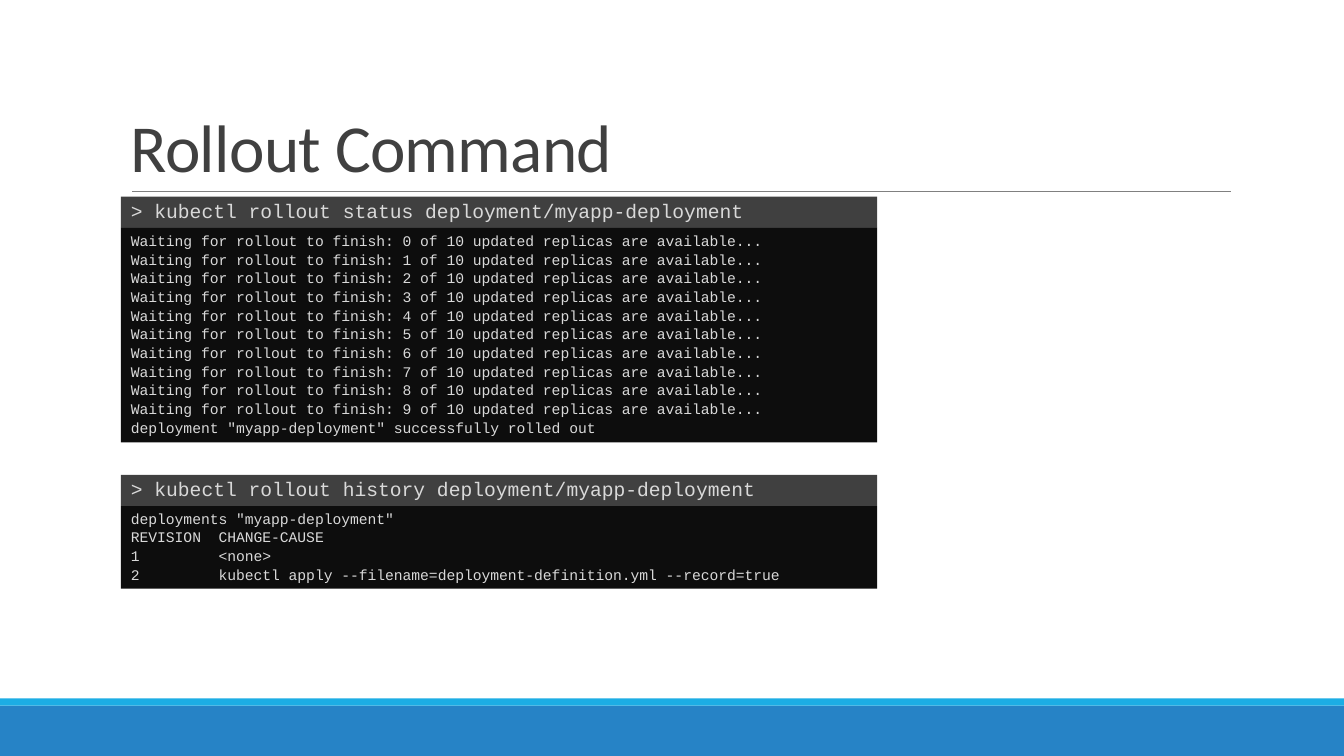
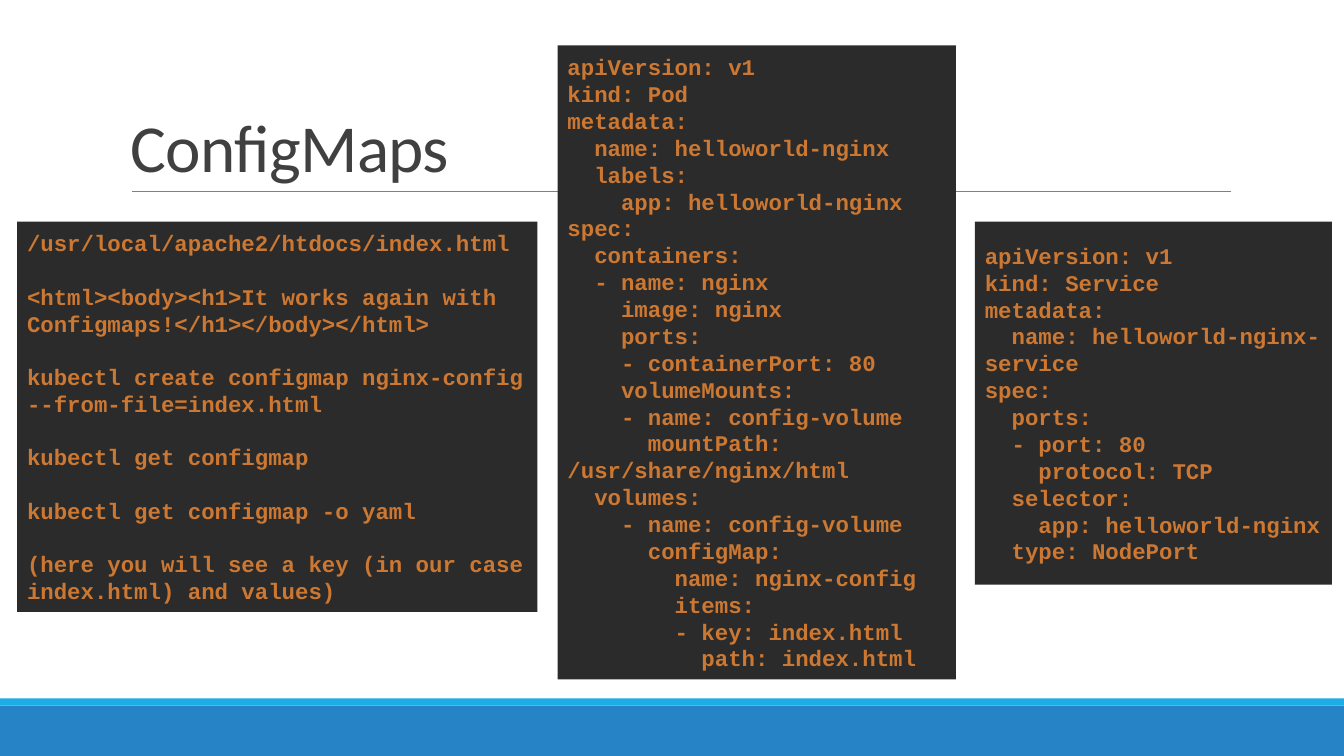
from dataclasses import dataclass

from lxml import etree
from pptx import Presentation
from pptx.dml.color import RGBColor
from pptx.enum import shapes, text
from pptx.oxml import ns
from pptx.util import Inches, Pt

MONO = "Courier New"
TITLE = {"name": "Calibri", "size": Pt(48), "color": "404040"}
HEAD = {"name": MONO, "size": Pt(14), "color": "D9D9D9"}
LOG = {"name": MONO, "size": Pt(10.5), "color": "D9D9D9"}
CODE = {"name": MONO, "size": Pt(16), "color": "CC7832", "bold": True}
TIGHT = {"line_spacing": 0.9, "space_after": Pt(2)}
SPACED = {"space_before": Pt(19)}


@dataclass
class Box:
    left: float
    top: float
    width: float
    height: float

    def at(self) -> list:
        return [Inches(v) for v in (self.left, self.top, self.width, self.height)]


@dataclass
class Term:
    top: float
    height: float
    command: str
    lines: list


@dataclass
class Pane:
    box: Box
    lines: list
    gaps: dict


# Slide text
TERMS = [
    Term(1.95, 2.13, "> kubectl rollout status deployment/myapp-deployment", [
        *(f"Waiting for rollout to finish: {n} of 10 updated replicas are available..."
          for n in range(10)),
        'deployment "myapp-deployment" successfully rolled out',
    ]),
    Term(4.71, 0.82, "> kubectl rollout history deployment/myapp-deployment", [
        'deployments "myapp-deployment"',
        "REVISION  CHANGE-CAUSE",
        "1         <none>",
        "2         kubectl apply --filename=deployment-definition.yml --record=true",
    ]),
]

POD = """apiVersion: v1
kind: Pod
metadata:
  name: helloworld-nginx
  labels:
    app: helloworld-nginx
spec:
  containers:
  - name: nginx
    image: nginx
    ports:
    - containerPort: 80
    volumeMounts:
    - name: config-volume
      mountPath: /usr/share/nginx/html
  volumes:
    - name: config-volume
      configMap:
        name: nginx-config
        items:
        - key: index.html
          path: index.html"""

STEPS = """/usr/local/apache2/htdocs/index.html
<html><body><h1>It works again with Configmaps!</h1></body></html>
kubectl create configmap nginx-config --from-file=index.html
kubectl get configmap
kubectl get configmap -o yaml
(here you will see a key (in our case index.html) and values)"""

SERVICE = """apiVersion: v1
kind: Service
metadata:
  name: helloworld-nginx-service
spec:
  ports:
  - port: 80
    protocol: TCP
  selector:
    app: helloworld-nginx
  type: NodePort"""

PANES = [
    Pane(Box(5.53, 0.45, 3.95, 6.29), POD.splitlines(), {}),
    Pane(Box(0.17, 2.2, 5.16, 3.87), STEPS.splitlines(), SPACED),
    Pane(Box(9.67, 2.2, 3.54, 3.6), SERVICE.splitlines(), {}),
]


# Drawing helpers
def paint(target, shade: str) -> None:
    target.rgb = RGBColor.from_string(shade)


def block(slide, box: Box, shade: str):
    rect = slide.shapes.add_shape(shapes.MSO_SHAPE.RECTANGLE, *box.at())
    rect.shadow.inherit = False
    rect.fill.solid()
    paint(rect.fill.fore_color, shade)
    rect.line.fill.background()
    return rect


def write(shape, lines: list, style: dict, gaps: dict,
          anchor=text.MSO_ANCHOR.MIDDLE) -> None:
    frame = shape.text_frame
    frame.word_wrap = True
    frame.vertical_anchor = anchor
    for i, line in enumerate(lines):
        para = frame.add_paragraph() if i else frame.paragraphs[0]
        para.alignment = text.PP_ALIGN.LEFT
        for key, value in gaps.items():
            if i or key != "space_before":
                setattr(para, key, value)
        run = para.add_run()
        run.text = line
        for key, value in style.items():
            if key == "color":
                paint(run.font.color, value)
            else:
                setattr(run.font, key, value)


def base(deck, title: str):
    """Add a slide with the shared bands, rule and title."""
    slide = deck.slides.add_slide(deck.slide_layouts[6])
    block(slide, Box(0, 7, 13.33, 0.5), "2683C6")
    block(slide, Box(0, 6.93, 13.33, 0.07), "1CADE4")
    rule = slide.shapes.add_connector(
        shapes.MSO_CONNECTOR.STRAIGHT,
        Inches(1.31), Inches(1.9), Inches(12.21), Inches(1.9))
    rule.line.width = Pt(0.5)
    paint(rule.line.color, "808080")
    etree.SubElement(rule._element.spPr, ns.qn("a:effectLst"))
    name = slide.shapes.add_textbox(*Box(1.2, 0.31, 11, 1.59).at())
    write(name, [title], TITLE, {"line_spacing": 0.85}, text.MSO_ANCHOR.BOTTOM)
    run = name.text_frame.paragraphs[0].runs[0]
    run._r.get_or_add_rPr().set("spc", "-50")
    return slide


def main() -> None:
    deck = Presentation()
    deck.slide_width, deck.slide_height = Inches(13.33), Inches(7.5)

    # Terminal windows
    slide = base(deck, "Rollout Command")
    for term in TERMS:
        bar = block(slide, Box(1.2, term.top, 7.5, 0.31), "404040")
        write(bar, [term.command], HEAD, TIGHT)
        body = block(slide, Box(1.2, term.top + 0.31, 7.5, term.height), "0D0D0D")
        write(body, term.lines, LOG, TIGHT)

    # Code panes
    slide = base(deck, "ConfigMaps")
    for pane in PANES:
        write(block(slide, pane.box, "2B2B2B"), pane.lines, CODE, pane.gaps)

    deck.save("out.pptx")


if __name__ == "__main__":
    main()
